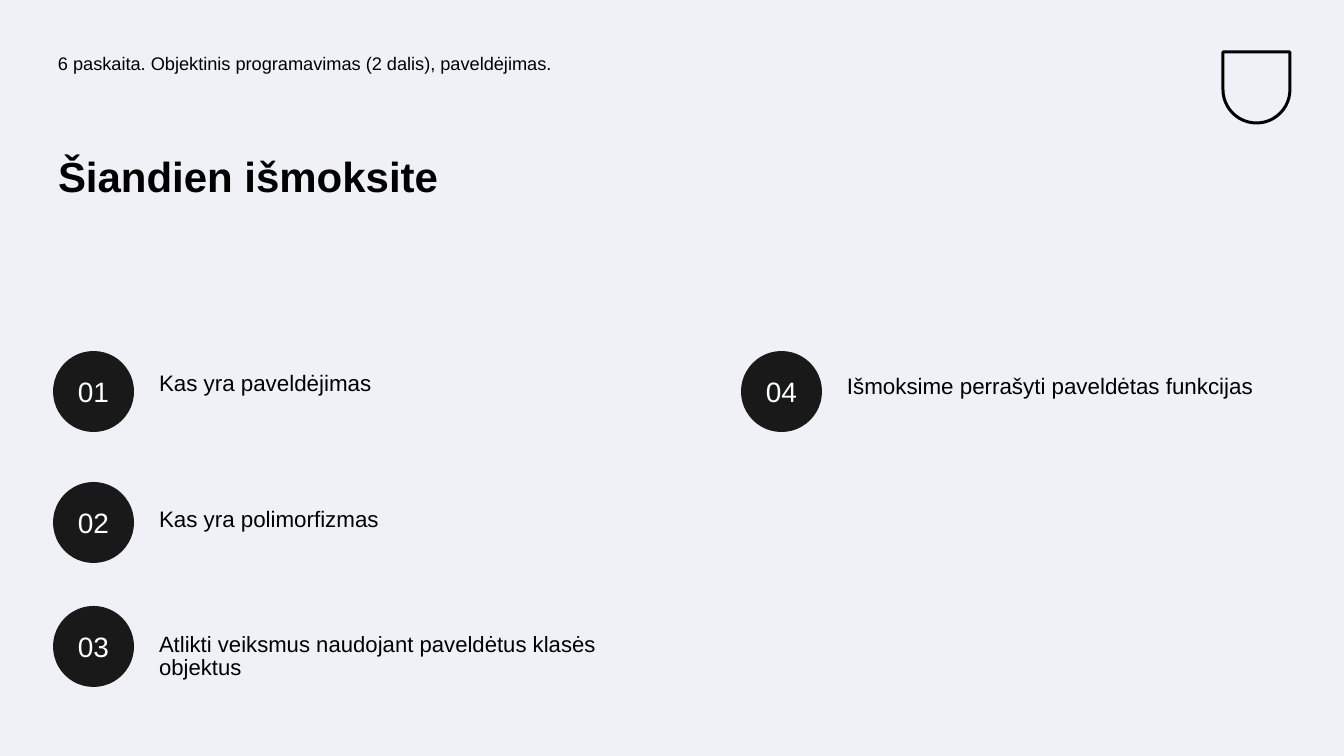
from pptx import Presentation
from pptx import util as u
from pptx.dml.color import RGBColor
from pptx.enum import shapes, text
from pptx.oxml.ns import qn

PX = 914400 / 100.8
INK, DISC, PAPER, DIGIT = "000000", "191919", "F0F1F6", "FEFFFF"
DISC_SIZE = 81
LABEL_OFFSET = 101

# number, label, disc left and top, label top, width and height, text size
GOALS = [
    ("01", "Kas yra paveldėjimas", (53, 351), (367, 467, 50), 16),
    ("02", "Kas yra polimorfizmas", (53, 482), (503, 467, 37), 16),
    ("03", "Atlikti veiksmus naudojant paveldėtus klasės objektus",
     (53, 606), (628, 491, 57), 15.8),
    ("04", "Išmoksime perrašyti paveldėtas funkcijas",
     (741, 351), (370, 491, 43), 16),
]


def px(length):
    return u.Emu(round(length * PX))


def colour(hex_string):
    return RGBColor.from_string(hex_string)


def paint(fill, hex_string):
    fill.solid()
    fill.fore_color.rgb = colour(hex_string)


def apply(target, values):
    for name, value in values.items():
        setattr(target, name, value)


def place(shape, box):
    apply(shape, dict(zip(("left", "top", "width", "height"), map(px, box))))


def write(shape, words, size, ink=INK, bold=False, before=0, spacing=0.9,
          align=text.PP_ALIGN.LEFT, anchor=text.MSO_ANCHOR.TOP):
    """Fill a shape with one plain, unbulleted paragraph."""
    frame = shape.text_frame
    frame.text = words
    apply(frame, {"word_wrap": True, "auto_size": text.MSO_AUTO_SIZE.NONE,
                  "vertical_anchor": anchor})
    apply(frame, {f"margin_{side}": px(5)
                  for side in ("left", "top", "right", "bottom")})
    paragraph = frame.paragraphs[0]
    apply(paragraph, {"alignment": align, "line_spacing": spacing,
                      "space_before": u.Pt(before)})
    apply(paragraph.runs[0].font,
          {"name": "Arial", "size": u.Pt(size), "bold": bold})
    paragraph.runs[0].font.color.rgb = colour(ink)
    if shape.is_placeholder:
        properties = paragraph._p.get_or_add_pPr()
        properties.set("marL", "0")
        properties.set("indent", "0")
        properties.append(properties.makeelement(qn("a:buNone"), {}))


def add_header(slide, box):
    left, top, width, height = box
    lecture = slide.shapes.add_textbox(*map(px, (left, top, 619, height)))
    write(lecture, "6 paskaita. Objektinis programavimas (2 dalis), paveldėjimas.",
          13, before=10)
    badge = slide.shapes.add_shape(
        shapes.MSO_SHAPE.ROUND_2_SAME_RECTANGLE,
        *map(px, (left + width - 68, top + 2, 67, 71)))
    badge.adjustments[0], badge.adjustments[1] = 0, 0.5
    badge.shadow.inherit = False
    badge.fill.background()
    paint(badge.line.fill, INK)
    badge.line.width = px(3)


def add_title(slide, box):
    place(slide.shapes.title, box)
    write(slide.shapes.title, "Šiandien išmoksite", 30, bold=True)


def add_goal(slide, label, goal):
    number, words, (left, top), (label_top, width, height), size = goal
    place(label, (left + LABEL_OFFSET, label_top, width, height))
    write(label, words, size, before=10)
    disc = slide.shapes.add_shape(
        shapes.MSO_SHAPE.OVAL, *map(px, (left, top, DISC_SIZE, DISC_SIZE)))
    disc.shadow.inherit = False
    paint(disc.fill, DISC)
    disc.line.fill.background()
    write(disc, number, 20, DIGIT, spacing=1.0, align=text.PP_ALIGN.CENTER,
          anchor=text.MSO_ANCHOR.MIDDLE)


def main():
    deck = Presentation()
    apply(deck, {"slide_width": px(1344), "slide_height": px(756)})
    # The Comparison layout holds a title and four body placeholders.
    slide = deck.slides.add_slide(deck.slide_layouts.get_by_name("Comparison"))
    paint(slide.background.fill, PAPER)
    add_header(slide, (53, 50, 1238, 49))
    add_title(slide, (53, 151, 567, 150))
    labels = list(slide.placeholders)[1:]
    for label, goal in zip(labels, GOALS):
        add_goal(slide, label, goal)
    deck.save("out.pptx")


if __name__ == "__main__":
    main()
